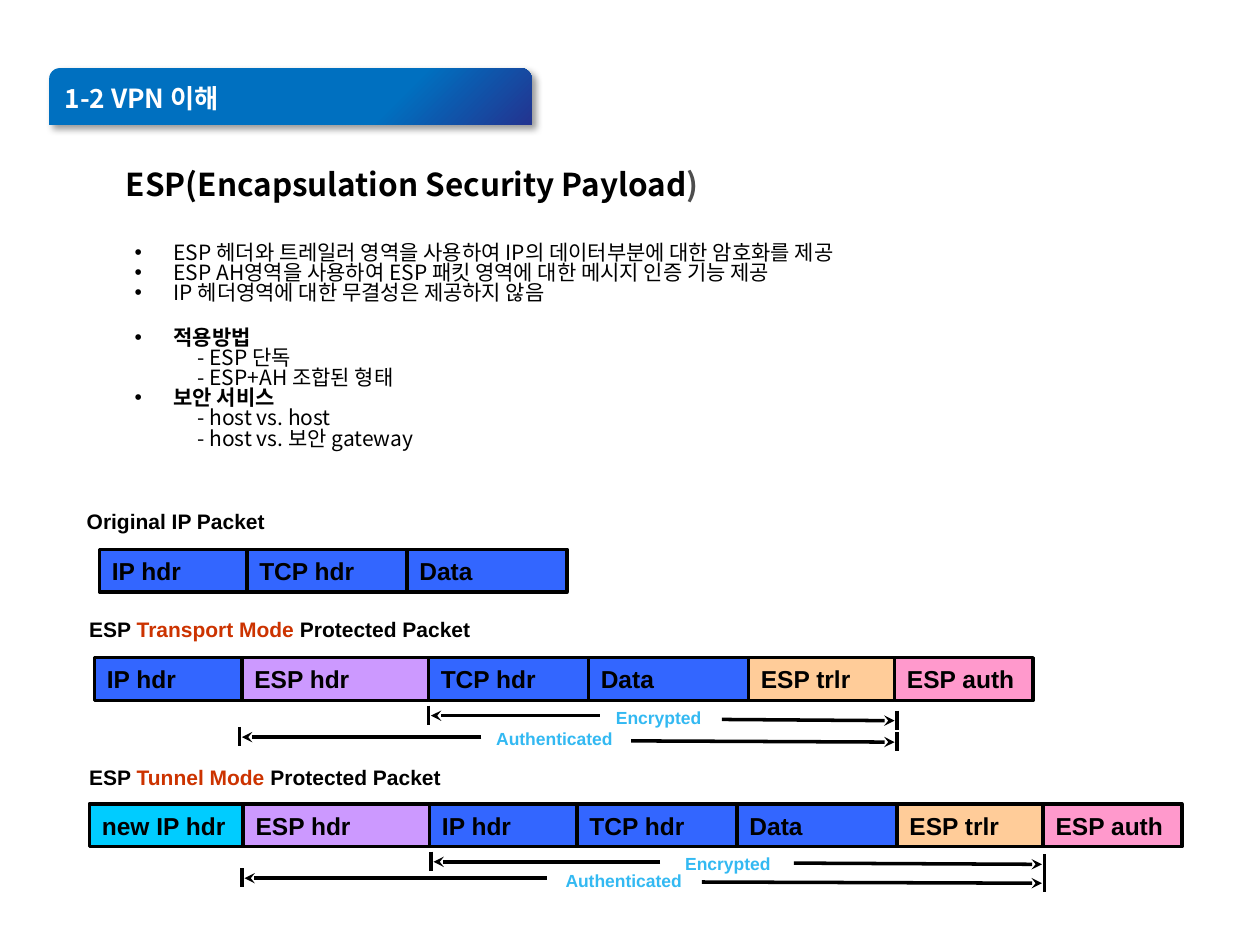
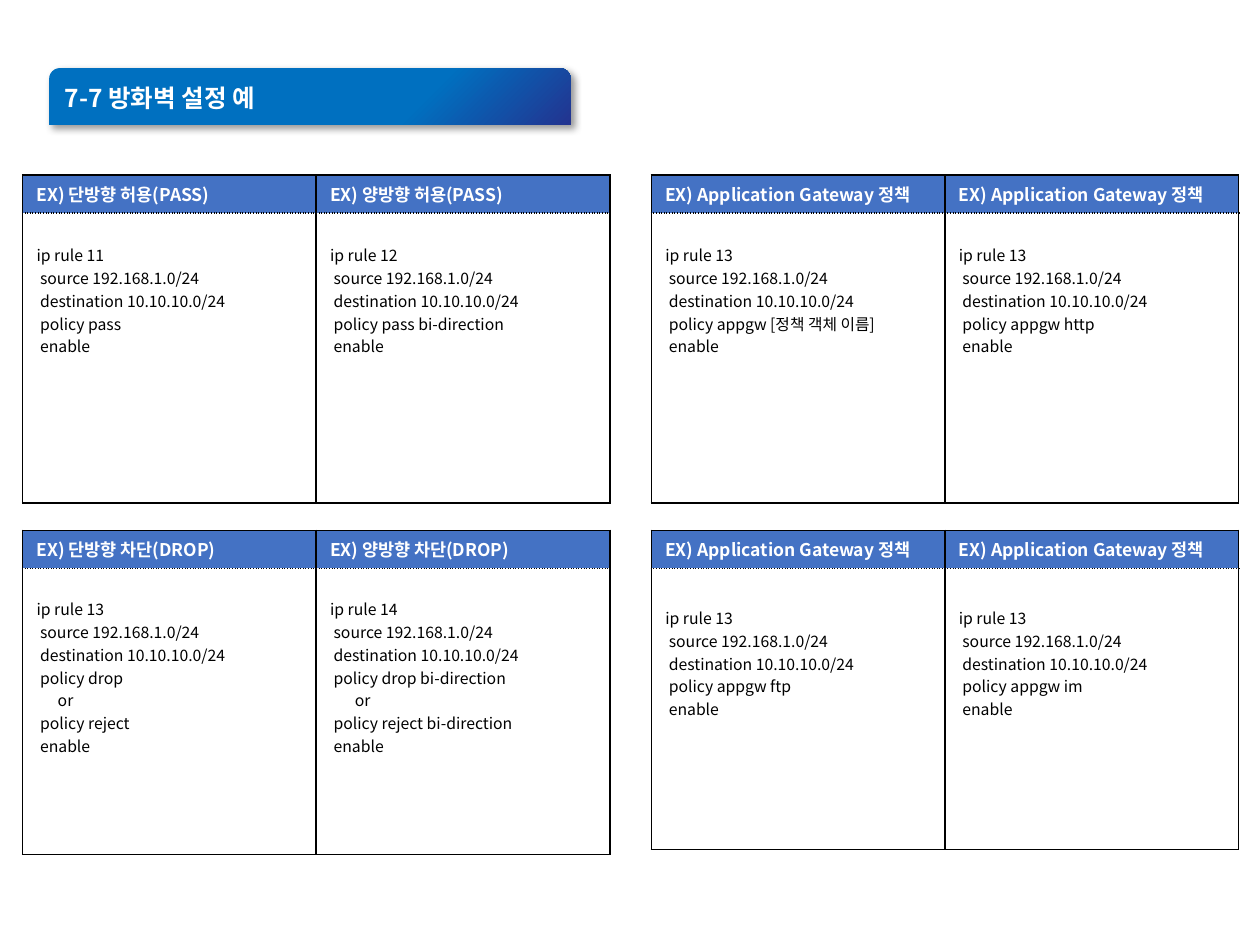
from pptx import Presentation
from pptx import util as u
from pptx.dml import color
from pptx.enum import shapes, text
from pptx.oxml import parse_xml
from pptx.oxml import ns

# Shared look
KOREAN, LATIN = "Noto Sans CJK KR", "Arial"
BLACK, WHITE = "000000", "FFFFFF"
BANNER_STOPS = ((0.7, "0070C0"), (1, "233490"))
TABLE_HEAD = "4472C4"
MODE_RED, SPAN_BLUE = "CC3300", "33B9F2"
INSETS = (0.1, 0.05, 0.1, 0.05)

# Packet fields: width in inches and fill
FIELDS = {
    "IP hdr": (1.17, "3366FF"),
    "TCP hdr": (1.27, "3366FF"),
    "Data": (1.27, "3366FF"),
    "ESP hdr": (1.48, "CC99FF"),
    "ESP trlr": (1.16, "FFCC99"),
    "ESP auth": (1.1, "FF99CC"),
    "new IP hdr": (1.22, "00CCFF"),
}
PACKETS = [
    (0.79, 4.36, ["IP hdr", "TCP hdr", "Data"]),
    (0.75, 5.22, ["IP hdr", "ESP hdr", "TCP hdr", "Data", "ESP trlr", "ESP auth"]),
    (0.71, 6.38, ["new IP hdr", "ESP hdr", "IP hdr", "TCP hdr", "Data",
                  "ESP trlr", "ESP auth"]),
]
PACKET_LABELS = [
    (0.59, 3.99, 1.63, [("Original IP Packet", BLACK)]),
    (0.61, 4.84, 3.26, [("ESP ", BLACK), ("Transport Mode", MODE_RED),
                        (" Protected Packet", BLACK)]),
    (0.61, 6.02, 3.02, [("ESP ", BLACK), ("Tunnel Mode", MODE_RED),
                        (" Protected Packet", BLACK)]),
]
# Label, its left, left tick (x, top), right tick (x, top), inner arrow ends
SPANS = [
    ("Encrypted", 4.79, (3.4, 5.6), (7.12, 5.64), (4.76, 5.73)),
    ("Authenticated", 3.84, (1.9, 5.77), (7.12, 5.81), (3.82, 5.01)),
    ("Encrypted", 5.34, (3.42, 6.76), (8.29, 6.78), (5.24, 6.3)),
    ("Authenticated", 4.39, (1.92, 6.89), (8.29, 6.93), (4.34, 5.57)),
]
# Kind, text
ESP_POINTS = [
    ("bullet", "ESP 헤더와 트레일러 영역을 사용하여 IP의 데이터부분에 대한 암호화를 제공"),
    ("bullet", "ESP AH영역을 사용하여 ESP 패킷 영역에 대한 메시지 인증 기능 제공"),
    ("bullet", "IP 헤더영역에 대한 무결성은 제공하지 않음"),
    ("topic", "적용방법"),
    ("item", "- ESP 단독"),
    ("item", "- ESP+AH 조합된 형태"),
    ("topic", "보안 서비스"),
    ("item", "- host vs. host"),
    ("item", "- host vs. 보안 gateway"),
]

GATEWAY = "EX) Application Gateway 정책"
# Left, top, body height, space above the code, two (heading, rule, policy lines)
RULE_TABLES = [
    (0.18, 1.39, 2.3, 0.24, [
        ("EX) 단방향 허용(PASS)", 11, [" policy pass"]),
        ("EX) 양방향 허용(PASS)", 12, [" policy pass bi-direction"])]),
    (0.18, 4.21, 2.27, 0.23, [
        ("EX) 단방향 차단(DROP)", 13,
         [" policy drop", "      or", " policy reject"]),
        ("EX) 양방향 차단(DROP)", 14,
         [" policy drop bi-direction", "       or", " policy reject bi-direction"])]),
    (5.17, 1.39, 2.3, 0.24, [
        (GATEWAY, 13, [" policy appgw [정책 객체 이름]"]),
        (GATEWAY, 13, [" policy appgw http"])]),
    (5.17, 4.21, 2.23, 0.3, [
        (GATEWAY, 13, [" policy appgw ftp"]),
        (GATEWAY, 13, [" policy appgw im"])]),
]


def rgb(value):
    return color.RGBColor.from_string(value)


def xml(body):
    """Parse one drawing element, written as '<a:name ...'."""
    head, rest = body.split(" ", 1)
    return parse_xml(f"{head} {ns.nsdecls('a')} {rest}")


def add_run(p, words, size, ink=BLACK, bold=False, font=KOREAN):
    r = p.add_run()
    r.text = words
    for name, value in {"name": font, "size": u.Pt(size), "bold": bold}.items():
        setattr(r.font, name, value)
    r.font.color.rgb = rgb(ink)
    r._r.get_or_add_rPr().append(xml(f'<a:ea typeface="{font}"/>'))


def set_frame(tf, insets=INSETS, anchor=text.MSO_ANCHOR.MIDDLE, wrap=True):
    sides = ("margin_left", "margin_top", "margin_right", "margin_bottom")
    for side, inset in zip(sides, insets):
        setattr(tf, side, u.Inches(inset))
    tf.vertical_anchor, tf.word_wrap = anchor, wrap
    return tf


def add_box(s, kind, left, top, width, height):
    sp = s.shapes.add_shape(kind, *map(u.Inches, (left, top, width, height)))
    sp.shadow.inherit = False
    return sp


def add_text(s, left, top, width, height, **frame):
    sp = s.shapes.add_textbox(*map(u.Inches, (left, top, width, height)))
    return set_frame(sp.text_frame, **frame)


def add_banner(s, title, width, size):
    sp = add_box(s, shapes.MSO_SHAPE.ROUND_2_SAME_RECTANGLE, 0.39, 0.54, width, 0.45)
    sp.adjustments[0], sp.adjustments[1] = 0.19, 0
    sp.line.fill.background()
    sp.fill.gradient()
    sp.fill.gradient_angle = 315
    for stop, (position, ink) in zip(sp.fill.gradient_stops, BANNER_STOPS):
        stop.position, stop.color.rgb = position, rgb(ink)
    effects = sp._element.spPr.find(ns.qn("a:effectLst"))
    effects.append(xml(
        f'<a:outerShdw blurRad="{u.Pt(4)}" dist="{u.Pt(3)}" dir="2700000">'
        f'<a:srgbClr val="{BLACK}"><a:alpha val="40000"/></a:srgbClr></a:outerShdw>'))
    p = set_frame(sp.text_frame, (0.1, 0.02, 0.1, 0.02)).paragraphs[0]
    p.alignment = text.PP_ALIGN.LEFT
    add_run(p, title, size, WHITE, True)


def add_packet(s, left, top, names):
    for name in names:
        width, fill = FIELDS[name]
        sp = add_box(s, shapes.MSO_SHAPE.RECTANGLE, left, top, width, 0.34)
        sp.fill.solid()
        sp.fill.fore_color.rgb = rgb(fill)
        sp.line.color.rgb, sp.line.width = rgb(BLACK), u.Pt(2)
        p = set_frame(sp.text_frame, wrap=False).paragraphs[0]
        p.alignment = text.PP_ALIGN.LEFT
        add_run(p, name, 14, bold=True, font=LATIN)
        left += width


def add_line(s, start, end, arrow=False):
    line = s.shapes.add_connector(shapes.MSO_CONNECTOR.STRAIGHT,
                                  *map(u.Inches, (*start, *end)))
    line.line.color.rgb, line.line.width = rgb(BLACK), u.Pt(2)
    if arrow:
        line.line._get_or_add_ln().append(xml('<a:tailEnd type="stealth"/>'))
    line._element.spPr.append(xml("<a:effectLst />"))


def add_span(s, label, label_left, left_tick, right_tick, inner):
    (x1, y1), (x2, y2) = left_tick, right_tick
    for x, y in (left_tick, right_tick):
        add_line(s, (x, y), (x, y + 0.15))
    add_line(s, (inner[0], y1 + 0.08), (x1 + 0.02, y1 + 0.08), arrow=True)
    add_line(s, (inner[1], y2 + 0.07), (x2 - 0.02, y2 + 0.08), arrow=True)
    tf = add_text(s, label_left, y1 - 0.04, 1.43, 0.27)
    add_run(tf.paragraphs[0], label, 10, SPAN_BLUE, True, LATIN)


def add_points(s, points):
    tf = add_text(s, 0.47, 1.89, 8.67, 2.15, anchor=text.MSO_ANCHOR.TOP)
    for i, (kind, words) in enumerate(points):
        p = tf.add_paragraph() if i else tf.paragraphs[0]
        pPr = p._p.get_or_add_pPr()
        margin, indent = (1, 0) if kind == "item" else (0.81, -0.31)
        pPr.set("marL", str(u.Inches(margin)))
        pPr.set("indent", str(u.Inches(indent)))
        if kind != "item":
            pPr.append(xml(f'<a:buFont typeface="{LATIN}"/>'))
            pPr.append(xml('<a:buChar char="•"/>'))
        p.line_spacing = 0.8
        first_topic = kind == "topic" and points[i - 1][0] == "bullet"
        p.space_before = u.Pt(14 if first_topic else 0)
        add_run(p, words, 12, bold=kind == "topic")


def set_borders(cell, **dashes):
    """Draw the four cell edges, solid unless a dash is named for the side."""
    for side in "LRTB":
        cell._tc.get_or_add_tcPr().append(xml(
            f'<a:ln{side} w="{u.Pt(1)}"><a:solidFill><a:srgbClr val="{BLACK}"/>'
            f'</a:solidFill><a:prstDash val="{dashes.get(side, "solid")}"/></a:ln{side}>'))


def set_cell(cell, lines, size, ink, bold, top_inset, anchor):
    insets = {"margin_left": 0.11, "margin_right": 0.11,
              "margin_top": top_inset, "margin_bottom": 0.05}
    for name, inset in insets.items():
        setattr(cell, name, u.Inches(inset))
    cell.vertical_anchor = anchor
    for i, words in enumerate(lines):
        tf = cell.text_frame
        p = tf.add_paragraph() if i else tf.paragraphs[0]
        add_run(p, words, size, ink, bold)


def add_rule_table(s, left, top, body_height, space_above, rules):
    head_height = 0.3
    frame = s.shapes.add_table(2, 2, *map(
        u.Inches, (left, top, 4.66, head_height + body_height)))
    table = frame.table
    table.first_row = table.horz_banding = False
    for row, height in zip(table.rows, (head_height, body_height)):
        row.height = u.Inches(height)
    for col, (heading, number, policy) in enumerate(rules):
        table.columns[col].width = u.Inches(2.33)
        head, body = table.cell(0, col), table.cell(1, col)
        set_borders(head, B="sysDot")
        head.fill.solid()
        head.fill.fore_color.rgb = rgb(TABLE_HEAD)
        set_cell(head, [heading], 10, WHITE, True, 0.05, text.MSO_ANCHOR.MIDDLE)
        set_borders(body, T="sysDot")
        body.fill.background()
        code = [f"ip rule {number}", " source 192.168.1.0/24",
                " destination 10.10.10.0/24", *policy, " enable"]
        set_cell(body, code, 9, BLACK, False, space_above, text.MSO_ANCHOR.TOP)


def build_esp_slide(s):
    add_banner(s, "1-2 VPN 이해", 3.83, 15)
    p = add_text(s, 0.9, 1.32, 7.17, 0.34, anchor=text.MSO_ANCHOR.TOP).paragraphs[0]
    p.line_spacing = 0.8
    add_run(p, "ESP(Encapsulation Security Payload", 18, bold=True)
    add_run(p, ")", 18, "4D4D4D", True)
    add_points(s, ESP_POINTS)
    for left, top, width, parts in PACKET_LABELS:
        p = add_text(s, left, top, width, 0.3, wrap=False).paragraphs[0]
        for words, ink in parts:
            add_run(p, words, 12, ink, True, LATIN)
    for packet in PACKETS:
        add_packet(s, *packet)
    for span in SPANS:
        add_span(s, *span)


def build_firewall_slide(s):
    add_banner(s, "7-7 방화벽 설정 예", 4.14, 14)
    for rule_table in RULE_TABLES:
        add_rule_table(s, *rule_table)


def main():
    prs = Presentation()
    prs.slide_width, prs.slide_height = u.Inches(10), u.Inches(7.5)
    for build in (build_esp_slide, build_firewall_slide):
        build(prs.slides.add_slide(prs.slide_layouts[6]))
    prs.save("out.pptx")


if __name__ == "__main__":
    main()
